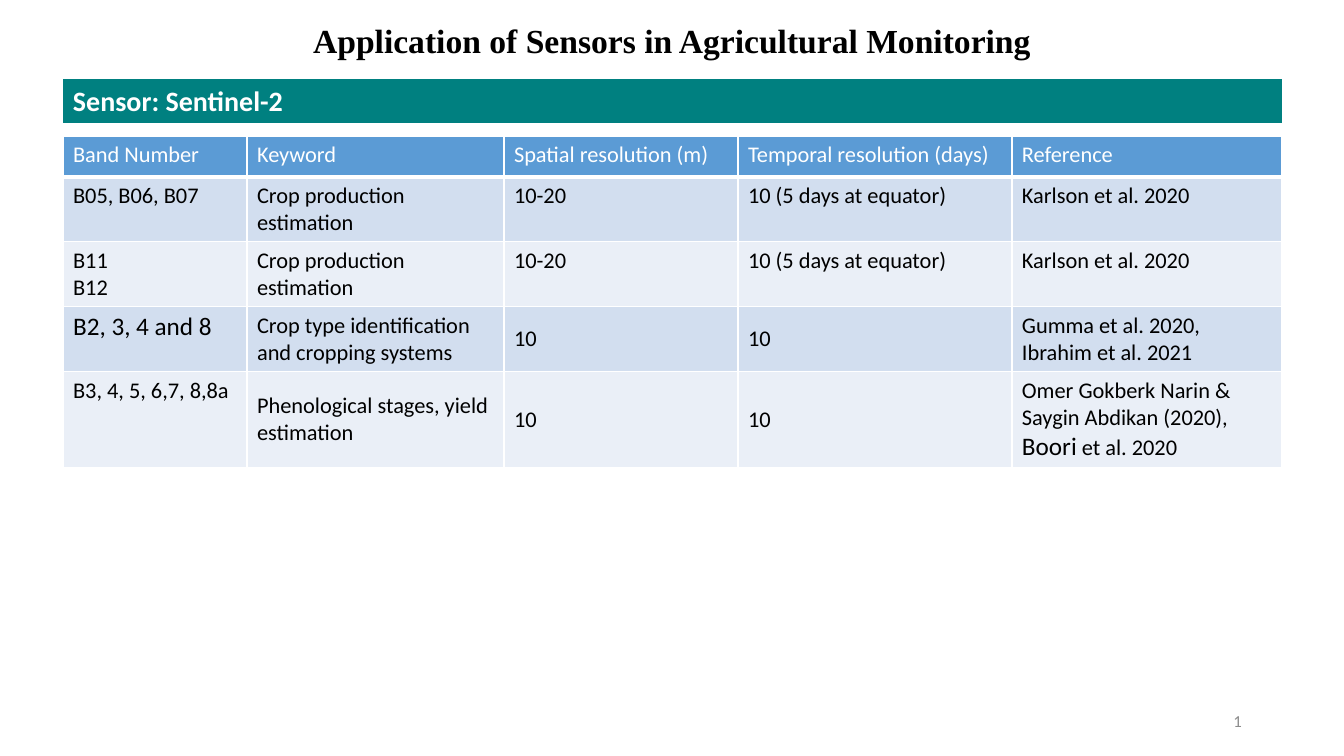
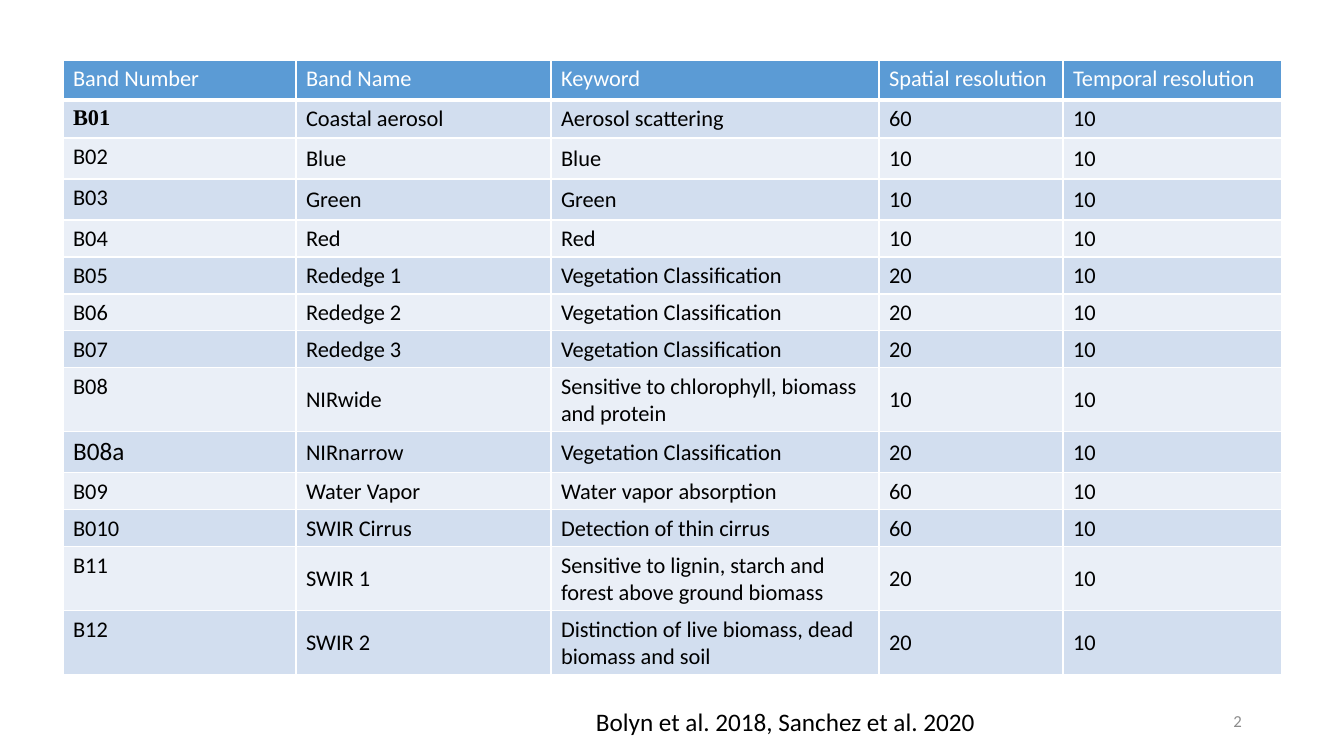
from lxml.etree import SubElement
from pptx import Presentation
from pptx.dml.color import RGBColor
from pptx.enum.shapes import MSO_SHAPE
from pptx.enum.text import MSO_ANCHOR, PP_ALIGN
from pptx.oxml.ns import qn
from pptx.util import Emu, Pt

COLORS = {
    "black": "000000",
    "white": "FFFFFF",
    "teal": "008080",
    "header": "5B9BD5",
    "odd_row": "D2DEEF",
    "even_row": "EAEFF7",
    "number": "8C8C8C",
}
BODY_FONT = "Calibri"
TITLE_FONT = "Times New Roman"
MARGIN = 63
CONTENT_WIDTH = 1219

TITLE = "Application of Sensors in Agricultural Monitoring"
SENSOR = "Sensor: Sentinel-2"
CITATION = "Bolyn et al. 2018, Sanchez et al. 2020"

APPLICATIONS = {
    "top": 136,
    "columns": [184, 257, 234, 274, 270],
    "heights": [41, 64, 64, 64, 93],
    "first_middle_row": 3,
    "rows": [
        ("Band Number", "Keyword", "Spatial resolution (m)", "Temporal resolution (days)", "Reference"),
        ("B05, B06, B07", "Crop production estimation", "10-20", "10 (5 days at equator)", "Karlson et al. 2020"),
        ("B11\nB12", "Crop production estimation", "10-20", "10 (5 days at equator)", "Karlson et al. 2020"),
        ("B2, 3, 4 and 8", "Crop type identification and cropping systems", "10", "10",
         "Gumma et al. 2020, Ibrahim et al. 2021"),
        ("B3, 4, 5, 6,7, 8,8a", "Phenological stages, yield estimation", "10", "10",
         "Omer Gokberk Narin & Saygin Abdikan (2020), |Boori| et al. 2020"),
    ],
}
BANDS = {
    "top": 60,
    "columns": [233, 255, 328, 184, 219],
    "heights": [40, 38, 41, 41, 37, 37, 37, 37, 64, 41, 37, 37, 64, 64],
    "first_middle_row": 2,
    "rows": [
        ("Band Number", "Band Name", "Keyword", "Spatial resolution", "Temporal resolution"),
        ("B01", "Coastal aerosol", "Aerosol scattering", "60", "10"),
        ("B02", "Blue", "Blue", "10", "10"),
        ("B03", "Green", "Green", "10", "10"),
        ("B04", "Red", "Red", "10", "10"),
        ("B05", "Rededge 1", "Vegetation Classification", "20", "10"),
        ("B06", "Rededge 2", "Vegetation Classification", "20", "10"),
        ("B07", "Rededge 3", "Vegetation Classification", "20", "10"),
        ("B08", "NIRwide", "Sensitive to chlorophyll, biomass and protein", "10", "10"),
        ("B08a", "NIRnarrow", "Vegetation Classification", "20", "10"),
        ("B09", "Water Vapor", "Water vapor absorption", "60", "10"),
        ("B010", "SWIR Cirrus", "Detection of thin cirrus", "60", "10"),
        ("B11", "SWIR 1", "Sensitive to lignin, starch and forest above ground biomass", "20", "10"),
        ("B12", "SWIR 2", "Distinction of live biomass, dead biomass and soil", "20", "10"),
    ],
}
EMPHASIS = {
    "B01": {"font": TITLE_FONT, "bold": True},
    "B2, 3, 4 and 8": {"size": 18},
    "B08a": {"size": 18},
    "Boori": {"size": 18},
}


def px(length):
    return Emu(round(length * 914400 / 100.8))


def box(left, top, width, height):
    return px(left), px(top), px(width), px(height)


def rgb(color):
    return RGBColor.from_string(COLORS[color])


def style_font(font_format, size=16, color="black", font=BODY_FONT, bold=False):
    font_format.size = Pt(size)
    font_format.name = font
    font_format.bold = bold
    font_format.color.rgb = rgb(color)


def style_text(frame, align=PP_ALIGN.LEFT, anchor=MSO_ANCHOR.TOP, **style):
    frame.vertical_anchor = anchor
    for paragraph in frame.paragraphs:
        paragraph.alignment = align
        for run in paragraph.runs:
            style_font(run.font, **style)


def add_title(slide):
    title = slide.shapes.title
    title.left, title.top, title.width, title.height = box(97, 15, 1150, 50)
    title.text_frame.text = TITLE
    style_text(title.text_frame, PP_ALIGN.CENTER, size=24, font=TITLE_FONT, bold=True)


def add_sensor_band(slide):
    band = slide.shapes.add_shape(MSO_SHAPE.RECTANGLE, *box(MARGIN, 79, CONTENT_WIDTH, 44))
    band.shadow.inherit = False
    band.fill.solid()
    band.fill.fore_color.rgb = rgb("teal")
    band.line.fill.background()
    band.text_frame.text = SENSOR
    style_text(band.text_frame, size=20, color="white", bold=True)


def add_citation(slide):
    citation = slide.shapes.add_textbox(*box(586, 701, 403, 40))
    citation.text_frame.text = CITATION
    style_text(citation.text_frame, size=18)


def add_slide_number(slide, number):
    frame = slide.shapes.add_textbox(*box(950, 701, 302, 40)).text_frame
    frame.text = str(number)
    style_text(frame, PP_ALIGN.RIGHT, MSO_ANCHOR.MIDDLE, size=12, color="number")
    field = frame.paragraphs[0].runs[0]._r
    field.tag = qn("a:fld")
    field.set("id", "{B6F15528-21DE-4FAA-801E-634DDDAF4B2B}")
    field.set("type", "slidenum")


def set_borders(cell, bottom_width):
    properties = cell._tc.get_or_add_tcPr()
    widths = {"lnL": 1, "lnR": 1, "lnT": 1, "lnB": bottom_width}
    for position, (side, width) in enumerate(widths.items()):
        line = SubElement(properties, qn(f"a:{side}"), w=str(Pt(width)))
        fill = SubElement(line, qn("a:solidFill"))
        SubElement(fill, qn("a:srgbClr"), val=COLORS["white"])
        properties.insert(position, line)


def fill_cell(cell, content, row, anchor):
    parts = content.split("|")
    frame = cell.text_frame
    frame.text = parts[0]
    for part in parts[1:]:
        frame.paragraphs[-1].add_run().text = part
    cell.vertical_anchor = anchor
    for paragraph in frame.paragraphs:
        for run in paragraph.runs:
            style_font(run.font, color="black" if row else "white", **EMPHASIS.get(run.text, {}))
    cell.fill.solid()
    cell.fill.fore_color.rgb = rgb("header" if row == 0 else "odd_row" if row % 2 else "even_row")
    set_borders(cell, 1 if row else 3)


def add_sensor_table(slide, content):
    rows, columns, heights = content["rows"], content["columns"], content["heights"]
    place = box(MARGIN, content["top"], CONTENT_WIDTH, sum(heights))
    table = slide.shapes.add_table(len(rows), len(columns), *place).table
    for column, width in zip(table.columns, columns):
        column.width = px(width)
    for row, (texts, height) in enumerate(zip(rows, heights)):
        table.rows[row].height = px(height)
        for column, text in enumerate(texts):
            middle = column > 0 and row >= content["first_middle_row"]
            anchor = MSO_ANCHOR.MIDDLE if middle else MSO_ANCHOR.TOP
            fill_cell(table.cell(row, column), text, row, anchor)


def main():
    deck = Presentation()
    deck.slide_width, deck.slide_height = px(1344), px(756)
    title_only, blank = deck.slide_layouts[5], deck.slide_layouts[6]

    applications = deck.slides.add_slide(title_only)
    add_title(applications)
    add_sensor_band(applications)
    add_sensor_table(applications, APPLICATIONS)

    bands = deck.slides.add_slide(blank)
    add_sensor_table(bands, BANDS)
    add_citation(bands)

    for number, slide in enumerate(deck.slides, 1):
        add_slide_number(slide, number)
    deck.save("out.pptx")


if __name__ == "__main__":
    main()
